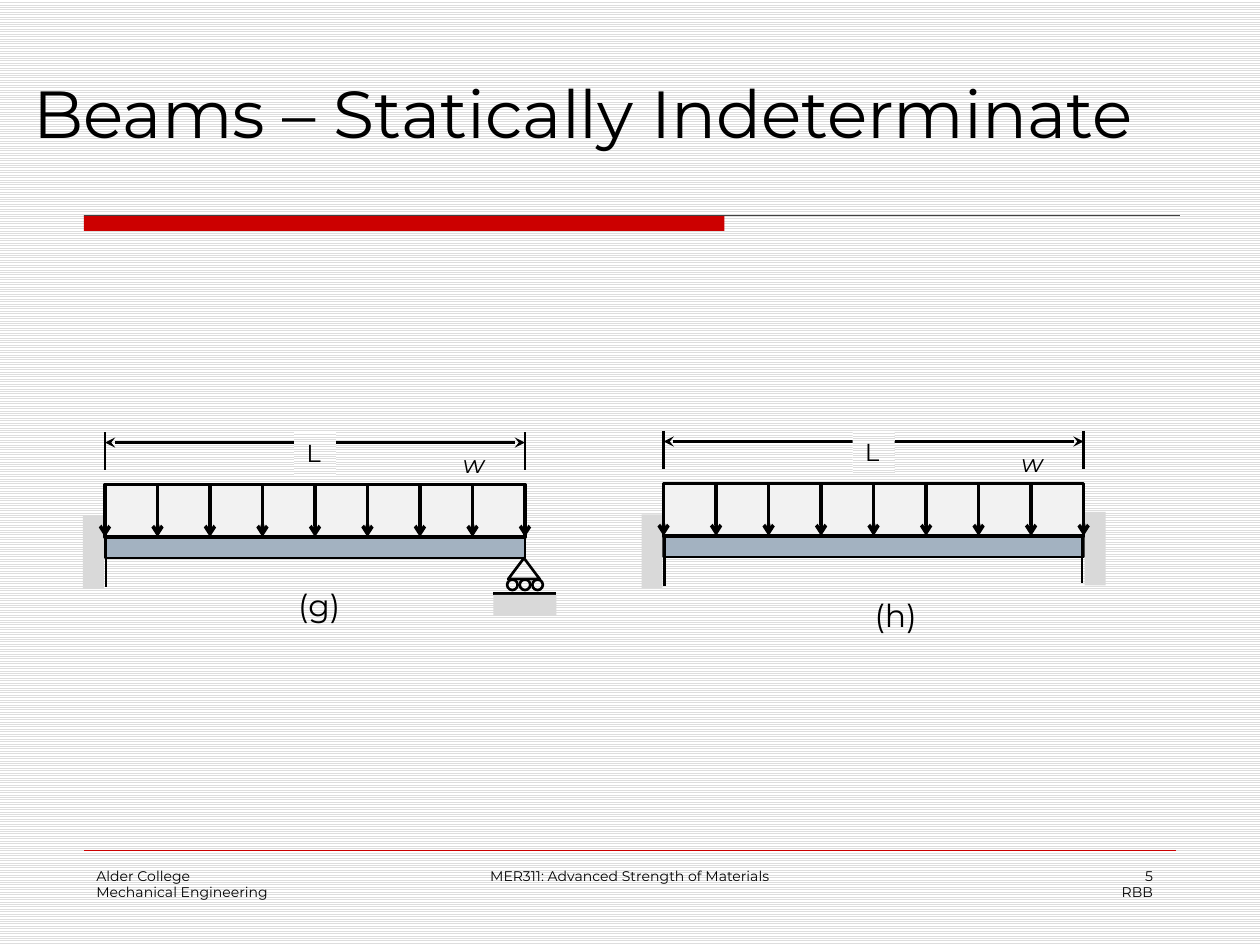
from lxml import etree
from pptx import Presentation, util as u
from pptx.dml.color import RGBColor
from pptx.enum import dml, shapes, text
from pptx.oxml.ns import qn

KIND = shapes.MSO_SHAPE
ALIGN = text.PP_ALIGN


def color(code):
    """Turn a hex string into a colour."""
    return RGBColor.from_string(code)


def stripe(fill):
    """Give a fill the light horizontal pattern of the page."""
    fill.patterned()
    fill.pattern = dml.MSO_PATTERN.LIGHT_HORIZONTAL
    fill.fore_color.rgb = color("DDDDDD")
    fill.back_color.rgb = color("FFFFFF")


class Sketch:
    """Style and current slide, measured on a grid of 120 columns by 90 rows."""

    font = "Montserrat"
    ink = "000000"
    columns, rows = 120, 90

    def __init__(self, deck):
        """Add a blank striped page to the deck."""
        self.cell_width = deck.slide_width / self.columns
        self.cell_height = deck.slide_height / self.rows
        self.page = deck.slides.add_slide(deck.slide_layouts[6])
        stripe(self.page.background.fill)

    def place(self, column, row):
        """Convert grid units to slide lengths."""
        return u.Emu(round(column * self.cell_width)), u.Emu(round(row * self.cell_height))

    def line(self, x1, y1, x2, y2, width=1.5, ink=ink, **ends):
        """Draw a line, with optional headEnd and tailEnd arrow types."""
        line = self.page.shapes.add_connector(
            shapes.MSO_CONNECTOR.STRAIGHT, *self.place(x1, y1), *self.place(x2, y2))
        line.line.color.rgb = color(ink)
        line.line.width = u.Pt(width)
        outline = line._element.spPr.find(qn("a:ln"))
        for end, kind in ends.items():
            etree.SubElement(outline, qn(f"a:{end}"), type=kind)
        etree.SubElement(line._element.spPr, qn("a:effectLst"))

    def shape(self, kind, x, y, width, height, fill=None, weight=0):
        """Draw a preset shape with an optional fill and outline."""
        shape = self.page.shapes.add_shape(
            kind, *self.place(x, y), *self.place(width, height))
        shape.shadow.inherit = False
        if fill:
            shape.fill.solid()
            shape.fill.fore_color.rgb = color(fill)
        else:
            shape.fill.background()
        if weight:
            shape.line.color.rgb = color(self.ink)
            shape.line.width = u.Pt(weight)
        else:
            shape.line.fill.background()

    def words(self, content, x, y, width, height, size, align=ALIGN.LEFT,
              anchor=text.MSO_ANCHOR.TOP, wrap=True, italic=False, striped=False):
        """Set paragraphs in a text box."""
        box = self.page.shapes.add_textbox(*self.place(x, y), *self.place(width, height))
        if striped:
            stripe(box.fill)
        frame = box.text_frame
        frame.word_wrap = wrap
        frame.vertical_anchor = anchor
        frame.text = content
        style = {"name": self.font, "size": u.Pt(size), "italic": italic}
        for para in frame.paragraphs:
            para.alignment = align
            for span in para.runs:
                for name, value in style.items():
                    setattr(span.font, name, value)
                span.font.color.rgb = color(self.ink)

    def wall(self, x, y, face):
        """Draw a fixed support whose wall starts at x, with a line at its face."""
        self.line(face, y, face, y + 7)
        self.shape(KIND.RECTANGLE, x, y + 0.2, 2, 7, "D9D9D9")

    def roller(self, x, y):
        """Draw a roller support centred below the point x, y."""
        self.line(x - 3, y + 3.35, x + 3, y + 3.35)
        self.shape(KIND.RECTANGLE, x - 3, y + 3.5, 6, 2, "D9D9D9")
        for offset in (-1.7, -0.5, 0.7):
            self.shape(KIND.OVAL, x + offset, y + 2.05, 1, 1, weight=1.5)
        self.shape(KIND.ISOSCELES_TRIANGLE, x - 1.6, y, 3, 2, weight=1.5)

    def load(self, x, y, span, count=8):
        """Draw a uniform load standing on the beam."""
        self.shape(KIND.RECTANGLE, x, y - 5, span, 5, "F2F2F2", 2)
        for index in range(count + 1):
            spot = x + index * span / count
            self.line(spot, y - 5, spot, y, 2, tailEnd="arrow")
        self.words("w", x + 32.9, y - 9, 4.7, 4.1, 14, wrap=False, italic=True)

    def dimension(self, x, y, span):
        """Draw the length of the beam above the load."""
        for end in (x, x + span):
            self.line(end, y - 10, end, y - 6.4)
        self.line(x, y - 9, x + span, y - 9, headEnd="stealth", tailEnd="stealth")
        self.words("L", x + 18, y - 10, 4, 4.1, 14, wrap=False, striped=True)

    def beam(self, x, y, label, label_x, label_y, fixed, span=40):
        """Draw a loaded beam, fixed at the left and fixed or on a roller at the right."""
        self.shape(KIND.RECTANGLE, x, y, span, 2, "A3B2C1", 1.5)
        self.wall(x - 2.1, y - 2.25, x + 0.1)
        if fixed:
            self.wall(x + span + 0.1, y - 2.5, x + span - 0.15)
        else:
            self.roller(x + span, y + 2)
        self.load(x, y, span)
        self.dimension(x, y, span)
        self.words(label, x + label_x, y + label_y, 6.8, 4.8, 18, ALIGN.CENTER, wrap=False)


def main():
    """Build the slide."""
    deck = Presentation()
    deck.slide_width, deck.slide_height = u.Inches(10), u.Inches(7.5)
    sketch = Sketch(deck)
    sketch.shape(KIND.RECTANGLE, 8, 20.5, 61, 1.5, "CC0000")
    sketch.line(8, 20.5, 112.4, 20.5, 0.75, "404040")
    sketch.line(8, 81, 112, 81, 0.25, "CC0000")
    sketch.words("Beams – Statically Indeterminate", 2, 6, 118, 9, 38,
                 anchor=text.MSO_ANCHOR.BOTTOM)
    sketch.beam(10, 51.15, "(g)", 17, 4.05, fixed=False)
    sketch.beam(63.2, 51.05, "(h)", 18.7, 5.1, fixed=True)
    for content, x, width, align in (
            ("Alder College\nMechanical Engineering", 8, 25, ALIGN.LEFT),
            ("MER311: Advanced Strength of Materials", 41, 38, ALIGN.CENTER),
            ("5\nRBB", 86, 25, ALIGN.RIGHT)):
        sketch.words(content, x, 82, width, 6, 8, align)
    deck.save("out.pptx")


if __name__ == "__main__":
    main()
